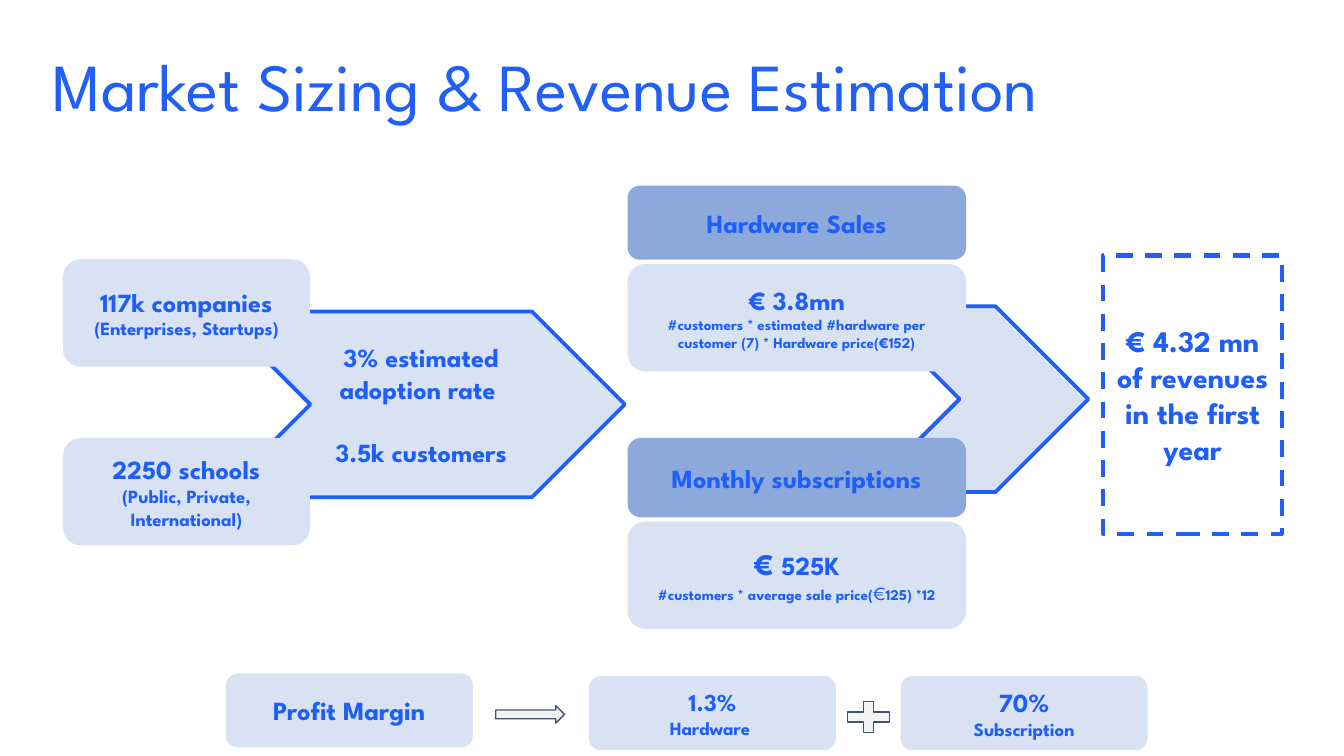
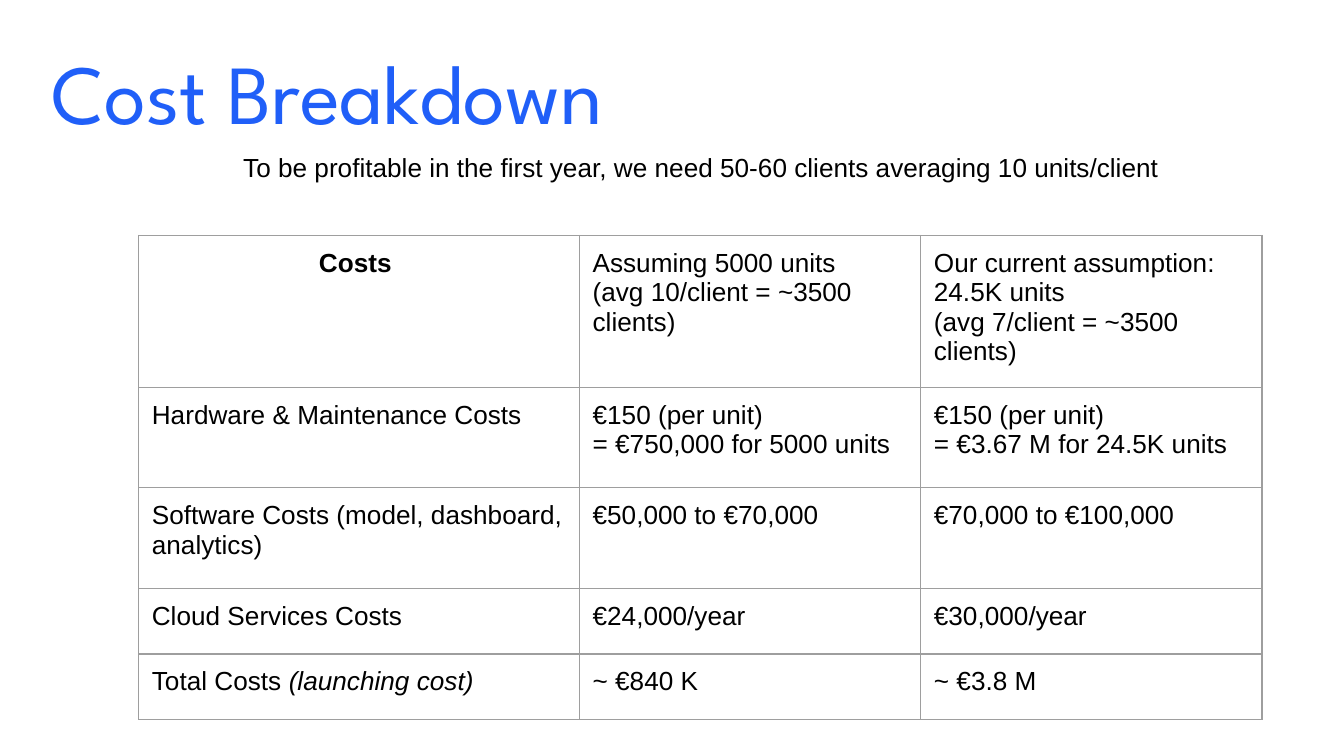
"""Build the market sizing and cost breakdown slides."""
from dataclasses import dataclass

import pptx
import pptx.dml.color
import pptx.enum.dml
import pptx.enum.shapes
import pptx.enum.text
import pptx.oxml
import pptx.oxml.ns
import pptx.util

Cm = pptx.util.Cm
Pt = pptx.util.Pt
ShapeType = pptx.enum.shapes.MSO_SHAPE
Align = pptx.enum.text.PP_ALIGN
Anchor = pptx.enum.text.MSO_ANCHOR


@dataclass(frozen=True)
class Theme:
    """Colours, fonts and type sizes shared by the slides."""
    title_blue: str = "205FF8"
    blue: str = "1F5FF8"
    pale: str = "D8E2F3"
    mid: str = "8DA9DB"
    white: str = "FFFFFF"
    black: str = "000000"
    symbol_fill: str = "F3F3F3"
    symbol_line: str = "44546A"
    grid: str = "9E9E9E"
    display_font: str = "League Spartan"
    body_font: str = "Arial"
    large: int = 16
    normal: int = 14
    medium: int = 13
    small: int = 10
    tiny: int = 8
    inset: float = 0.25


THEME = Theme()


@dataclass(frozen=True)
class Run:
    """A stretch of text that departs from its paragraph's font."""
    text: str
    size: int = None
    bold: bool = None
    italic: bool = None


@dataclass(frozen=True)
class Line:
    """A paragraph given as plain text or as a tuple of runs."""
    content: object
    size: int = THEME.normal
    bold: bool = True
    align: object = Align.CENTER
    space_before: int = 0
    font: str = THEME.display_font
    color: str = THEME.blue


def rgb(color):
    """Turn a hex string into a colour object."""
    return pptx.dml.color.RGBColor.from_string(color)


def write_line(paragraph, line):
    """Fill one paragraph with its runs and font."""
    runs = (Run(line.content),) if isinstance(line.content, str) else line.content
    paragraph.alignment = line.align
    if line.space_before:
        paragraph.space_before = Pt(line.space_before)
    paragraph.font.name = line.font
    paragraph.font.size = Pt(line.size)
    paragraph.font.bold = line.bold
    paragraph.font.color.rgb = rgb(line.color)
    for item in runs:
        run = paragraph.add_run()
        run.text = item.text
        if item.size:
            run.font.size = Pt(item.size)
        if item.bold is not None:
            run.font.bold = item.bold
        if item.italic is not None:
            run.font.italic = item.italic


def write_lines(text_frame, lines):
    """Write each line as a paragraph of the text frame."""
    for index, line in enumerate(lines):
        paragraph = text_frame.add_paragraph() if index else text_frame.paragraphs[0]
        write_line(paragraph, line)


def set_frame(text_frame, horizontal, vertical, anchor):
    """Set wrapping, insets and anchor of a text frame."""
    text_frame.word_wrap = True
    text_frame.auto_size = pptx.enum.text.MSO_AUTO_SIZE.NONE
    text_frame.margin_left = text_frame.margin_right = Cm(horizontal)
    text_frame.margin_top = text_frame.margin_bottom = Cm(vertical)
    text_frame.vertical_anchor = anchor


def add_titled_slide(presentation, title, size, box):
    """Add a slide with its formatted title placeholder."""
    slide = presentation.slides.add_slide(presentation.slide_layouts[5])
    shape = slide.shapes.title
    shape.left, shape.top, shape.width, shape.height = map(Cm, box)
    set_frame(shape.text_frame, 0, 0, Anchor.MIDDLE)
    write_lines(shape.text_frame, [
        Line(title, size, bold=False, align=Align.LEFT, color=THEME.title_blue)])
    shape.text_frame.paragraphs[0].line_spacing = 1.1
    return slide


def add_shape(slide, kind, box, fill, lines=(), outline=None, width=2,
              vertical_inset=THEME.inset):
    """Add a filled shape with optional outline and text."""
    shape = slide.shapes.add_shape(kind, *map(Cm, box))
    shape.shadow.inherit = False
    shape.fill.solid()
    shape.fill.fore_color.rgb = rgb(fill)
    if outline:
        shape.line.color.rgb = rgb(outline)
        shape.line.width = Pt(width)
    else:
        shape.line.fill.background()
    set_frame(shape.text_frame, THEME.inset, vertical_inset, Anchor.MIDDLE)
    write_lines(shape.text_frame, lines)
    return shape


def add_card(slide, box, *lines, fill=THEME.pale):
    """Add a rounded card with centred text."""
    return add_shape(slide, ShapeType.ROUNDED_RECTANGLE, box, fill, lines)


def add_chevron(slide, box, *lines):
    """Add an outlined flow chevron."""
    return add_shape(slide, ShapeType.CHEVRON, box, THEME.pale, lines,
                     THEME.blue, vertical_inset=0.13)


def add_symbol(slide, kind, box):
    """Add a small grey connecting symbol."""
    return add_shape(slide, kind, box, THEME.symbol_fill,
                     outline=THEME.symbol_line, width=0.75)


def set_borders(cell):
    """Draw thin grey lines around a table cell."""
    properties = cell._tc.get_or_add_tcPr()
    for index, side in enumerate(("lnL", "lnR", "lnT", "lnB")):
        border = pptx.oxml.parse_xml(
            f'<a:{side} {pptx.oxml.ns.nsdecls("a")} w="{Pt(0.75)}"><a:solidFill>'
            f'<a:srgbClr val="{THEME.grid}"/></a:solidFill></a:{side}>')
        properties.insert(index, border)


def add_table(slide, left, top, widths, heights, rows):
    """Add a plain grid whose cells hold tuples of paragraphs."""
    frame = slide.shapes.add_table(len(rows), len(widths), Cm(left), Cm(top),
                                   Cm(sum(widths)), Cm(sum(heights)))
    table = frame.table
    table.first_row = table.horz_banding = False
    for column, width in zip(table.columns, widths):
        column.width = Cm(width)
    for row, height in zip(table.rows, heights):
        row.height = Cm(height)
    for row_index, row in enumerate(rows):
        for column_index, contents in enumerate(row):
            heading = row_index == column_index == 0
            cell = table.cell(row_index, column_index)
            cell.fill.background()
            cell.margin_left = cell.margin_right = Cm(THEME.inset)
            cell.margin_top = cell.margin_bottom = Cm(THEME.inset)
            write_lines(cell.text_frame, [
                Line(content, bold=heading, font=THEME.body_font, color=THEME.black,
                     align=Align.CENTER if heading else Align.LEFT)
                for content in contents])
            set_borders(cell)


def build_market_slide(presentation):
    """Lay out the flow from market size to revenue and margins."""
    slide = add_titled_slide(presentation, "Market Sizing & Revenue Estimation", 36,
                             (0.99, 0.51, 24.1, 2.03))
    add_chevron(slide, (16.38, 5.79, 4.19, 3.51))
    add_chevron(slide, (4.11, 5.89, 7.7, 3.51),
                Line("3% estimated adoption rate "),
                Line("3.5k customers", space_before=17))

    card_width, card_height, stream_width, band_height = 4.67, 2.03, 6.4, 1.4
    segments = (
        (4.9, "117k companies", "(Enterprises, Startups)"),
        (8.28, "2250 schools", "(Public, Private, International)"),
    )
    for top, count, detail in segments:
        add_card(slide, (1.19, top, card_width, card_height),
                 Line(count), Line(detail, THEME.small))

    streams = (
        (3.51, band_height, "Hardware Sales", "€ 3.8mn",
         "#customers * estimated #hardware per customer (7) * Hardware price(€152)"),
        (8.28, 1.5, "Monthly subscriptions", (Run("€ ", THEME.large), Run("525K")),
         (Run("#customers * average sale price("), Run("€", THEME.small, False),
          Run("125) *12"))),
    )
    for top, height, name, amount, formula in streams:
        add_card(slide, (11.86, top, stream_width, height), Line(name), fill=THEME.mid)
        add_card(slide, (11.86, top + height + 0.08, stream_width, card_height),
                 Line(amount), Line(formula, THEME.tiny))

    revenue = add_shape(slide, ShapeType.RECTANGLE, (20.85, 4.83, 3.38, 5.26), THEME.white,
                        [Line("€ 4.32 mn of revenues in the first year", THEME.large)],
                        THEME.blue, 2.25)
    revenue.line.dash_style = pptx.enum.dml.MSO_LINE.DASH

    add_card(slide, (4.27, 12.73, card_width, band_height), Line("Profit Margin"))
    margins = ((11.13, "1.3%", THEME.medium, "Hardware "),
               (17.02, "70%", THEME.normal, "Subscription"))
    for left, percentage, size, source in margins:
        add_card(slide, (left, 12.78, card_width, band_height),
                 Line(percentage, size), Line(source, THEME.small))
    add_symbol(slide, ShapeType.RIGHT_ARROW, (9.37, 13.34, 1.3, 0.33))
    add_symbol(slide, ShapeType.MATH_PLUS, (15.88, 13.16, 1.07, 0.79))


def build_cost_slide(presentation):
    """Lay out the cost table and its summary sentence."""
    slide = add_titled_slide(presentation, "Cost Breakdown", 45,
                             (0.97, -0.13, 18.39, 3.51))
    rows = (
        (("Costs ",),
         ("Assuming 5000 units", "(avg 10/client = ~3500 clients)"),
         ("Our current assumption: 24.5K units", "(avg 7/client = ~3500 clients)")),
        (("Hardware & Maintenance Costs",),
         ("€150 (per unit)", "= €750,000 for 5000 units"),
         ("€150 (per unit)", "= €3.67 M for 24.5K units")),
        (("Software Costs (model, dashboard, analytics)",),
         ("€50,000 to €70,000",), ("€70,000 to €100,000",)),
        (("Cloud Services Costs",), ("€24,000/year",), ("€30,000/year",)),
        (((Run("Total Costs "), Run("(launching cost)", italic=True)),),
         ("~ €840 K",), ("~ €3.8 M",)),
    )
    add_table(slide, 2.62, 4.45, (8.33, 6.45, 6.45), (2.87, 1.9, 1.9, 1.24, 1.24), rows)
    summary = slide.shapes.add_textbox(*map(Cm, (2.39, 2.62, 21.87, 1.02)))
    set_frame(summary.text_frame, THEME.inset, THEME.inset, Anchor.TOP)
    write_lines(summary.text_frame, [
        Line("To be profitable in the first year, we need 50-60 clients "
             "averaging 10 units/client ", bold=False, font=THEME.body_font,
             color=THEME.black)])


def main():
    """Create and save the presentation."""
    presentation = pptx.Presentation()
    presentation.slide_width, presentation.slide_height = Cm(25.4), Cm(14.29)
    build_market_slide(presentation)
    build_cost_slide(presentation)
    presentation.save("out.pptx")


if __name__ == "__main__":
    main()
